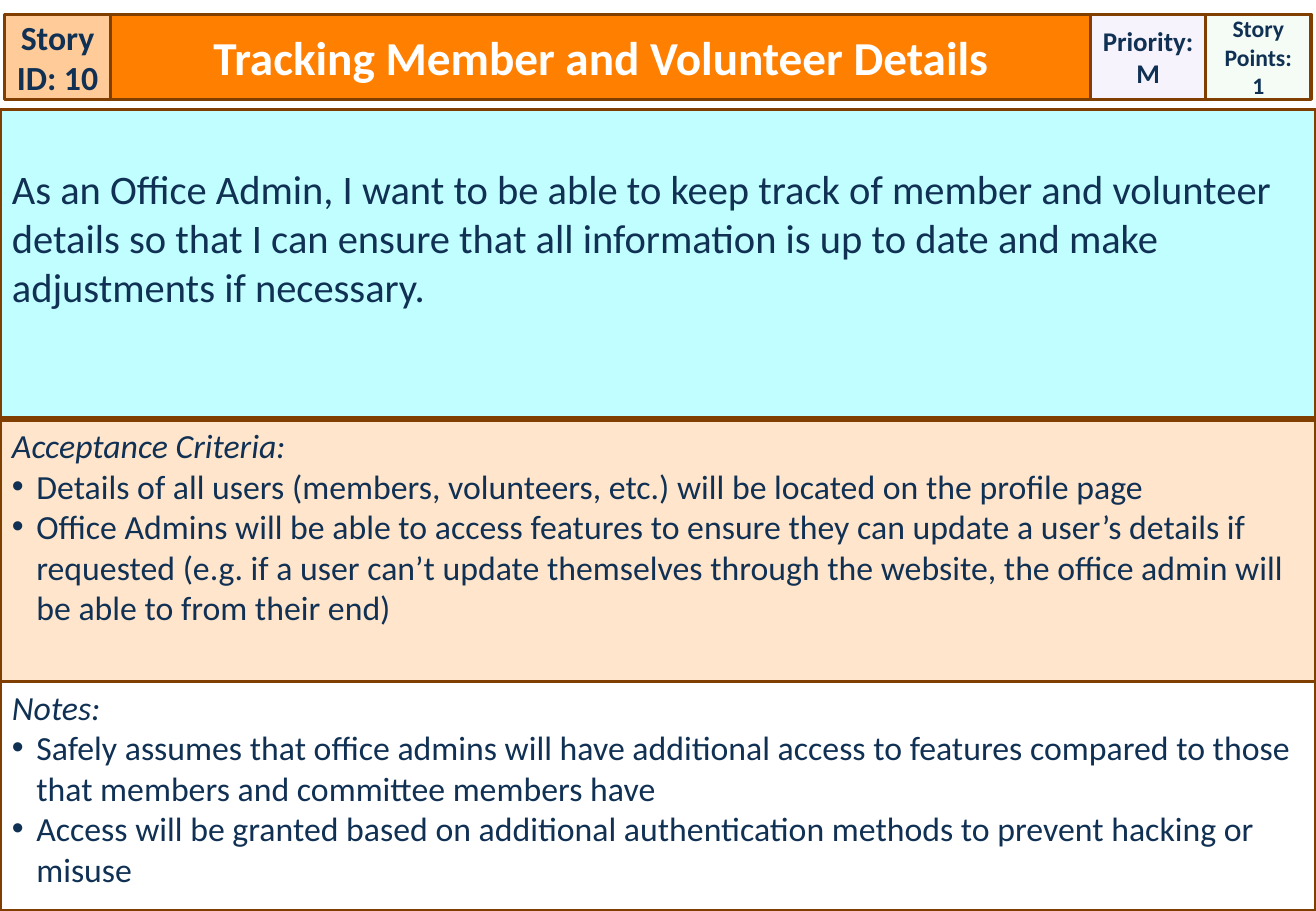
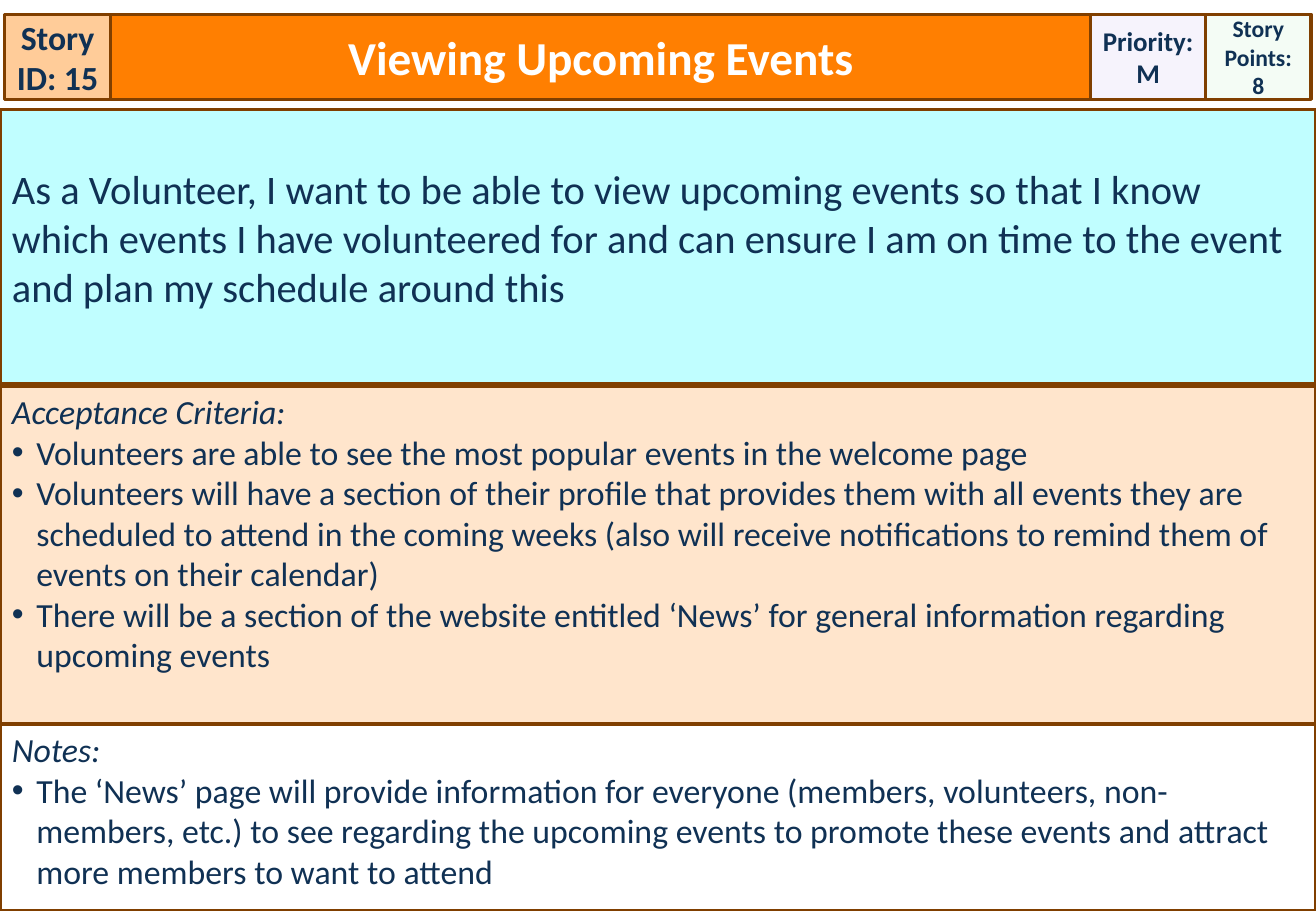
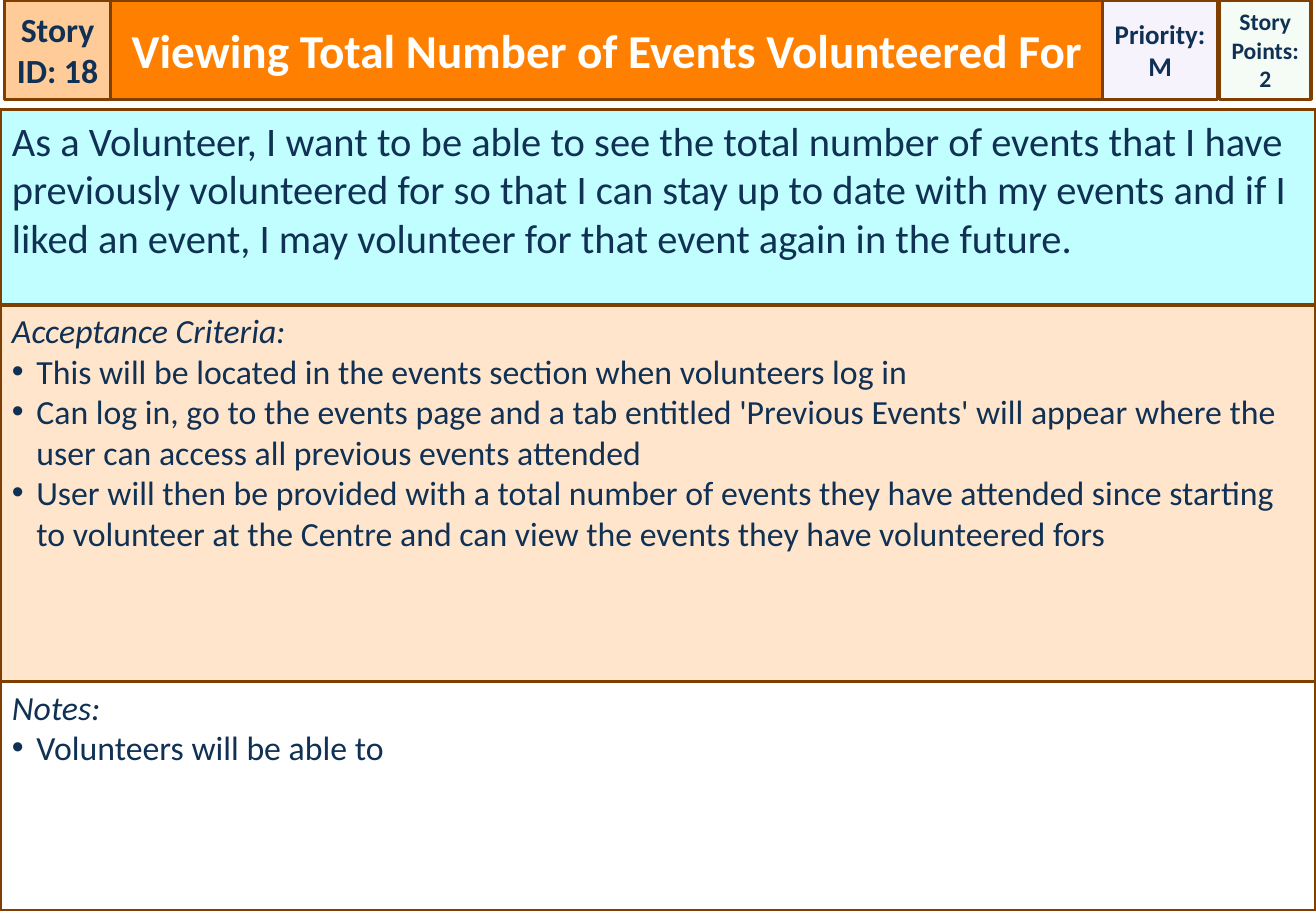
from dataclasses import dataclass

from lxml.etree import SubElement
from pptx import Presentation
from pptx.dml.color import RGBColor
from pptx.enum.shapes import MSO_SHAPE as Shape
from pptx.enum.text import MSO_ANCHOR as Anchor, MSO_AUTO_SIZE as AutoSize, PP_ALIGN as Align
from pptx.oxml.ns import qn
from pptx.util import Cm, Pt

FONT = "Calibri"
NAVY, WHITE, BROWN = "103154", "FFFFFF", "803F00"
ORANGE, PEACH, CREAM = "FF7F01", "FFCC99", "FFE5CC"
CYAN, LILAC, MINT = "C0FEFF", "F6F3FC", "CCF0CD"

PAGE_WIDTH, PAGE_HEIGHT = 27.52, 19.05
HEADER_LEFT, HEADER_RIGHT, HEADER_BOTTOM = 0.1, 27.42, 2.08
TITLE_LEFT, PRIORITY_WIDTH = 2.31, 2.4
STORY_TOP = 2.29
BULLET_INDENT = 0.51
SIDE_INSET = 0.25
CELL_INSETS = (0, 0.13, 0, 0.13)
LIST_INSETS = (SIDE_INSET, 0.1, SIDE_INSET, 0.13)


@dataclass
class Story:
    """Content of one story card and the edges that vary between cards."""

    number: int
    title: str
    points: int
    text: str
    criteria: list
    remarks: list
    criteria_top: float
    remarks_top: float
    header_top: float = 0.3
    priority_left: float = 22.81
    points_left: float = 25.21
    story_gap: float = 0.05
    story_inset: float = 1.15
    priority: str = "M"


STORIES = [
    Story(
        number=10,
        title="Tracking Member and Volunteer Details",
        points=1,
        text="As an Office Admin, I want to be able to keep track of member and volunteer "
        "details so that I can ensure that all information is up to date and make "
        "adjustments if necessary.",
        criteria=[
            "Details of all users (members, volunteers, etc.) will be located on the profile page",
            "Office Admins will be able to access features to ensure they can update a user’s "
            "details if requested (e.g. if a user can’t update themselves through the website, "
            "the office admin will be able to from their end)",
        ],
        remarks=[
            "Safely assumes that office admins will have additional access to features compared "
            "to those that members and committee members have",
            "Access will be granted based on additional authentication methods to prevent "
            "hacking or misuse",
        ],
        criteria_top=8.79,
        remarks_top=14.25,
    ),
    Story(
        number=15,
        title="Viewing Upcoming Events",
        points=8,
        text="As a Volunteer, I want to be able to view upcoming events so that I know which "
        "events I have volunteered for and can ensure I am on time to the event and plan my "
        "schedule around this",
        criteria=[
            "Volunteers are able to see the most popular events in the welcome page",
            "Volunteers will have a section of their profile that provides them with all events "
            "they are scheduled to attend in the coming weeks (also will receive notifications "
            "to remind them of events on their calendar)",
            "There will be a section of the website entitled ‘News’ for general information "
            "regarding upcoming events",
        ],
        remarks=[
            "The ‘News’ page will provide information for everyone (members, volunteers, "
            "non-members, etc.) to see regarding the upcoming events to promote these events "
            "and attract more members to want to attend",
        ],
        criteria_top=8.08,
        remarks_top=15.14,
    ),
    Story(
        number=18,
        title="Viewing Total Number of Events Volunteered For",
        points=2,
        text="As a Volunteer, I want to be able to see the total number of events that I have "
        "previously volunteered for so that I can stay up to date with my events and if I liked "
        "an event, I may volunteer for that event again in the future.",
        criteria=[
            "This will be located in the events section when volunteers log in",
            "Can log in, go to the events page and a tab entitled 'Previous Events' will appear "
            "where the user can access all previous events attended",
            "User will then be provided with a total number of events they have attended since "
            "starting to volunteer at the Centre and can view the events they have volunteered "
            "fors",
        ],
        remarks=["Volunteers will be able to"],
        criteria_top=6.38,
        remarks_top=14.25,
        header_top=0,
        priority_left=23.06,
        points_left=25.5,
        story_gap=0,
        story_inset=0.13,
    ),
]


def color(value):
    """Turn a hex string into a colour."""
    return RGBColor.from_string(value)


def place(box, left, top, right, bottom):
    """Move a box to the given edges in centimetres."""
    box.left, box.top = Cm(left), Cm(top)
    box.width, box.height = Cm(right - left), Cm(bottom - top)


def paint(box, fill, opacity=100):
    """Give a box its fill and the shared brown outline."""
    box.fill.solid()
    box.fill.fore_color.rgb = color(fill)
    if opacity < 100:
        tint = box.element.spPr.find(qn("a:solidFill"))[0]
        SubElement(tint, qn("a:alpha"), val=str(opacity * 1000))
    box.line.color.rgb = color(BROWN)
    box.line.width = Pt(2)


def frame_text(box, anchor=Anchor.TOP, insets=(SIDE_INSET, 0.13, SIDE_INSET, 0.13), wrap=True):
    """Set the anchor, insets and wrapping of a box."""
    frame = box.text_frame
    frame.auto_size = AutoSize.NONE
    frame.word_wrap = wrap
    frame.vertical_anchor = anchor
    left, top, right, bottom = map(Cm, insets)
    frame.margin_left, frame.margin_top = left, top
    frame.margin_right, frame.margin_bottom = right, bottom


def set_bullet(para, bullet):
    """Give a paragraph a hanging bullet, or none."""
    props = para._p.get_or_add_pPr()
    indent = Cm(BULLET_INDENT) if bullet else 0
    props.set("marL", str(int(indent)))
    props.set("indent", str(-int(indent)))
    if bullet:
        SubElement(props, qn("a:buFont"), typeface="Arial")
        SubElement(props, qn("a:buChar"), char="•")
    else:
        SubElement(props, qn("a:buNone"))


def write(box, text, size=20, ink=NAVY, bold=False, italic=False, align=Align.LEFT, bullet=False):
    """Add a formatted paragraph to a box, filling the empty first one."""
    frame = box.text_frame
    para = frame.add_paragraph() if frame.text else frame.paragraphs[0]
    set_bullet(para, bullet)
    para.alignment = align
    para.space_before = Pt(0)
    span = para.add_run()
    span.text = text
    span.font.name = FONT
    span.font.size = Pt(size)
    span.font.bold = bold
    span.font.italic = italic
    span.font.color.rgb = color(ink)


def add_panel(page, edges, fill, opacity=100):
    """Add a filled and outlined rectangle."""
    box = page.shapes.add_shape(Shape.RECTANGLE, 0, 0, 0, 0)
    box.shadow.inherit = False
    place(box, *edges)
    paint(box, fill, opacity)
    return box


def add_cell(page, edges, lines, size, fill, opacity=100, wrap=True):
    """Add a header cell with bold centred lines."""
    box = add_panel(page, edges, fill, opacity)
    frame_text(box, Anchor.MIDDLE, CELL_INSETS, wrap)
    for line in lines:
        write(box, line, size=size, bold=True, align=Align.CENTER)


def fill_title(box, edges, text):
    """Format the title placeholder as the orange band."""
    place(box, *edges)
    paint(box, ORANGE)
    frame_text(box, Anchor.MIDDLE)
    write(box, text, size=28, ink=WHITE, bold=True, align=Align.CENTER)


def fill_list(box, top, bottom, heading, items, fill):
    """Format a body placeholder as a headed list across the page."""
    place(box, 0, top, PAGE_WIDTH, bottom)
    paint(box, fill)
    frame_text(box, insets=LIST_INSETS)
    write(box, heading, italic=True)
    for item in items:
        write(box, item, bullet=True)


def add_header(page, story):
    """Build the row with number, title, priority and points."""
    def edges(left, right):
        """Return the edges of a header cell."""
        return left, story.header_top, right, HEADER_BOTTOM

    add_cell(page, edges(HEADER_LEFT, TITLE_LEFT), [f"Story ID: {story.number}"], 20, PEACH)
    fill_title(page.shapes.title, edges(TITLE_LEFT, story.priority_left), story.title)
    add_cell(page, edges(story.points_left, HEADER_RIGHT),
             ["Story Points:", str(story.points)], 14, MINT, opacity=20)
    add_cell(page, edges(story.priority_left, story.priority_left + PRIORITY_WIDTH),
             ["Priority:", story.priority], 16, LILAC, wrap=False)


def add_story(deck, story):
    """Build one story card."""
    page = deck.slides.add_slide(deck.slide_layouts.get_by_name("Two Content"))
    add_header(page, story)
    box = add_panel(page, (0, STORY_TOP, PAGE_WIDTH, story.criteria_top - story.story_gap), CYAN)
    frame_text(box, insets=(SIDE_INSET, story.story_inset, SIDE_INSET, 0.13))
    write(box, story.text, size=24)
    criteria, remarks = page.placeholders[1], page.placeholders[2]
    fill_list(criteria, story.criteria_top, story.remarks_top,
              "Acceptance Criteria:", story.criteria, CREAM)
    fill_list(remarks, story.remarks_top, PAGE_HEIGHT, "Notes:", story.remarks, WHITE)


def main():
    """Build the deck and save it."""
    deck = Presentation()
    deck.slide_width, deck.slide_height = Cm(PAGE_WIDTH), Cm(PAGE_HEIGHT)
    for story in STORIES:
        add_story(deck, story)
    deck.save("out.pptx")


if __name__ == "__main__":
    main()
